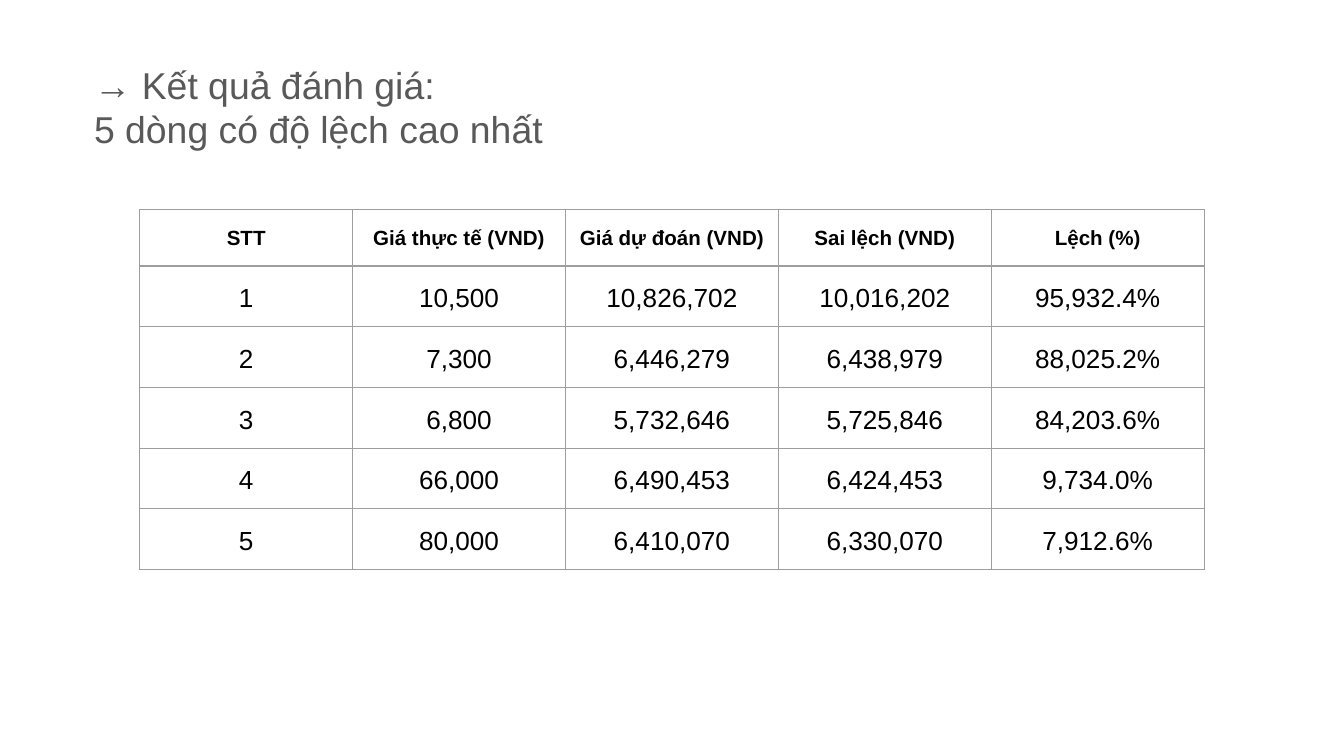
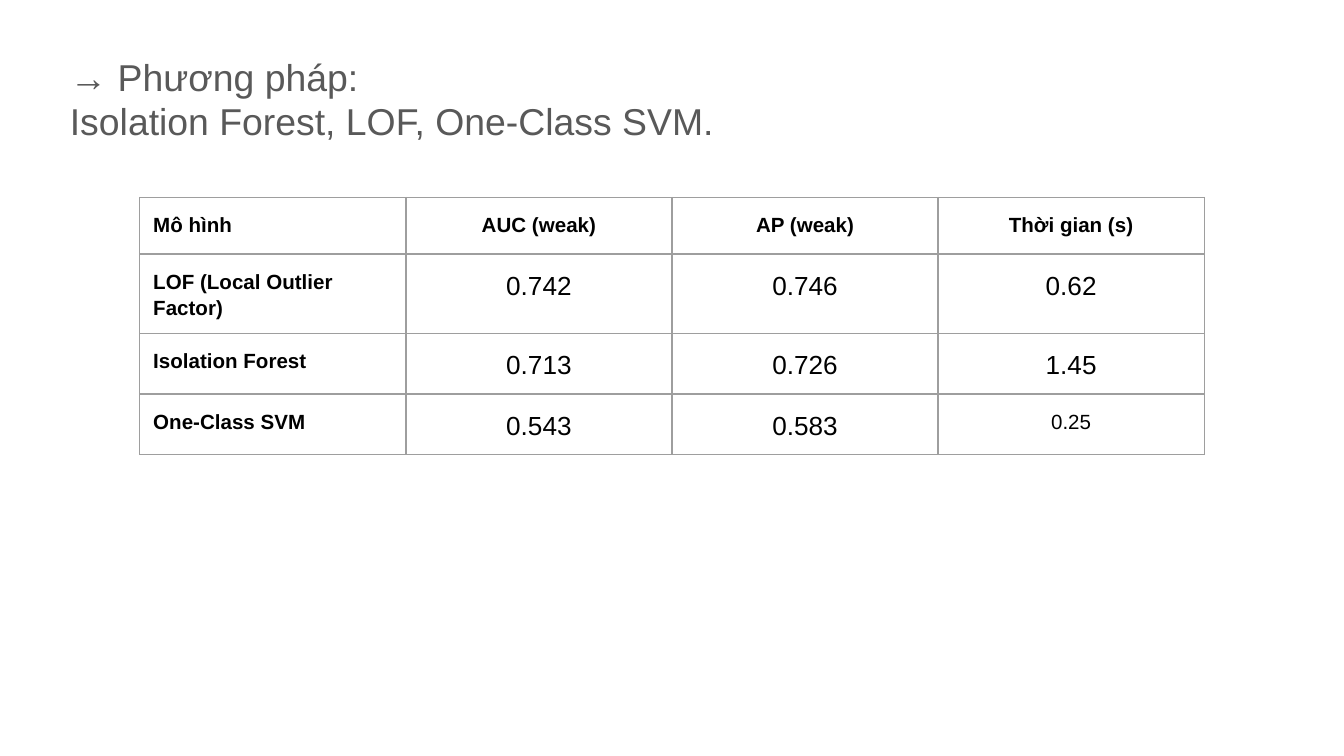
from dataclasses import dataclass

import lxml.etree
import pptx
import pptx.dml.color
import pptx.enum.text
import pptx.oxml.ns
import pptx.presentation
import pptx.slide
import pptx.table
import pptx.text.text
import pptx.util

TITLE_GRAY = pptx.dml.color.RGBColor(0x59, 0x59, 0x59)
TEXT_BLACK = pptx.dml.color.RGBColor(0x00, 0x00, 0x00)
BORDER_GRAY = pptx.dml.color.RGBColor(0x9E, 0x9E, 0x9E)

FONT = "Arial"
TITLE_SIZE = 20
LABEL_SIZE = 11
VALUE_SIZE = 14
BORDER_WIDTH = pptx.util.Pt(0.75)
LINE_SPACING = 1.15

# Square grid: 100 columns across a 16:9 slide.
SLIDE_WIDTH = pptx.util.Inches(10)
SLIDE_HEIGHT = SLIDE_WIDTH * 9 // 16
UNIT = SLIDE_WIDTH // 100
INSET = UNIT
TABLE_LEFT = 10.4
TABLE_WIDTH = 79.2
ROW_HEIGHT = 4.2

LEFT = pptx.enum.text.PP_ALIGN.LEFT
CENTER = pptx.enum.text.PP_ALIGN.CENTER


@dataclass(frozen=True)
class Place:
    """A box in grid units."""
    left: float
    top: float
    width: float
    height: float


@dataclass(frozen=True)
class ResultSlide:
    title: tuple[str, ...]
    title_place: Place
    table_top: float
    rows: tuple[tuple[str, ...], ...]
    has_row_labels: bool = False
    small_values: tuple[str, ...] = ()


RESULT_SLIDES = (
    ResultSlide(
        title=("→ Kết quả đánh giá:", "5 dòng có độ lệch cao nhất"),
        title_place=Place(6, 3.6, 60.1, 10.9),
        table_top=15.6,
        rows=(
            ("STT", "Giá thực tế (VND)", "Giá dự đoán (VND)", "Sai lệch (VND)", "Lệch (%)"),
            ("1", "10,500", "10,826,702", "10,016,202", "95,932.4%"),
            ("2", "7,300", "6,446,279", "6,438,979", "88,025.2%"),
            ("3", "6,800", "5,732,646", "5,725,846", "84,203.6%"),
            ("4", "66,000", "6,490,453", "6,424,453", "9,734.0%"),
            ("5", "80,000", "6,410,070", "6,330,070", "7,912.6%"),
        ),
    ),
    ResultSlide(
        title=("→ Phương pháp:", "Isolation Forest, LOF, One-Class SVM."),
        title_place=Place(4.2, 3, 71, 10.6),
        table_top=14.7,
        rows=(
            ("Mô hình", "AUC (weak)", "AP (weak)", "Thời gian (s)"),
            ("LOF (Local Outlier Factor)", "0.742", "0.746", "0.62"),
            ("Isolation Forest", "0.713", "0.726", "1.45"),
            ("One-Class SVM", "0.543", "0.583", "0.25"),
        ),
        has_row_labels=True,
        small_values=("0.25",),
    ),
)


def grid(units: float) -> int:
    """Convert grid units to EMU."""
    return round(units * UNIT)


def add_span(para: pptx.text.text._Paragraph, text: str, size: float,
             color: pptx.dml.color.RGBColor, bold: bool = False) -> None:
    span = para.add_run()
    span.text = text
    span.font.name = FONT
    span.font.size = pptx.util.Pt(size)
    span.font.bold = bold
    span.font.color.rgb = color


def draw_title(page: pptx.slide.Slide, lines: tuple[str, ...], place: Place) -> None:
    box = page.shapes.title
    box.left, box.top = grid(place.left), grid(place.top)
    box.width, box.height = grid(place.width), grid(place.height)
    frame = box.text_frame
    frame.word_wrap = True
    frame.auto_size = pptx.enum.text.MSO_AUTO_SIZE.NONE
    frame.vertical_anchor = pptx.enum.text.MSO_ANCHOR.TOP
    frame.margin_left = frame.margin_right = INSET
    frame.margin_top = frame.margin_bottom = INSET
    for index, line in enumerate(lines):
        para = frame.add_paragraph() if index else frame.paragraphs[0]
        para.alignment = LEFT
        add_span(para, line, TITLE_SIZE, TITLE_GRAY)


def add_borders(cell: pptx.table._Cell) -> None:
    qn = pptx.oxml.ns.qn
    properties = cell._tc.get_or_add_tcPr()
    for side in ("a:lnL", "a:lnR", "a:lnT", "a:lnB"):
        line = lxml.etree.SubElement(properties, qn(side), w=str(BORDER_WIDTH))
        fill = lxml.etree.SubElement(line, qn("a:solidFill"))
        lxml.etree.SubElement(fill, qn("a:srgbClr"), val=str(BORDER_GRAY))


def draw_cell(cell: pptx.table._Cell, text: str, size: float, bold: bool,
              alignment: pptx.enum.text.PP_ALIGN) -> None:
    add_borders(cell)
    cell.fill.background()
    cell.margin_left = cell.margin_right = INSET
    cell.margin_top = cell.margin_bottom = INSET
    cell.vertical_anchor = pptx.enum.text.MSO_ANCHOR.TOP
    para = cell.text_frame.paragraphs[0]
    para.alignment = alignment
    para.line_spacing = LINE_SPACING
    add_span(para, text, size, TEXT_BLACK, bold)


def draw_table(page: pptx.slide.Slide, result: ResultSlide) -> None:
    row_count, column_count = len(result.rows), len(result.rows[0])
    table = page.shapes.add_table(
        row_count, column_count, grid(TABLE_LEFT), grid(result.table_top),
        grid(TABLE_WIDTH), grid(ROW_HEIGHT * row_count)).table
    table.first_row = table.horz_banding = False
    for row_index, row in enumerate(result.rows):
        for column_index, text in enumerate(row):
            in_label_column = result.has_row_labels and column_index == 0
            is_label = row_index == 0 or in_label_column
            is_small = is_label or text in result.small_values
            draw_cell(table.cell(row_index, column_index), text,
                      LABEL_SIZE if is_small else VALUE_SIZE, is_label,
                      LEFT if in_label_column else CENTER)


def add_result_slide(deck: pptx.presentation.Presentation, result: ResultSlide) -> None:
    page = deck.slides.add_slide(deck.slide_layouts.get_by_name("Title Only"))
    draw_title(page, result.title, result.title_place)
    draw_table(page, result)


def main() -> None:
    deck = pptx.Presentation()
    deck.slide_width, deck.slide_height = SLIDE_WIDTH, SLIDE_HEIGHT
    for result in RESULT_SLIDES:
        add_result_slide(deck, result)
    deck.save("out.pptx")


if __name__ == "__main__":
    main()
